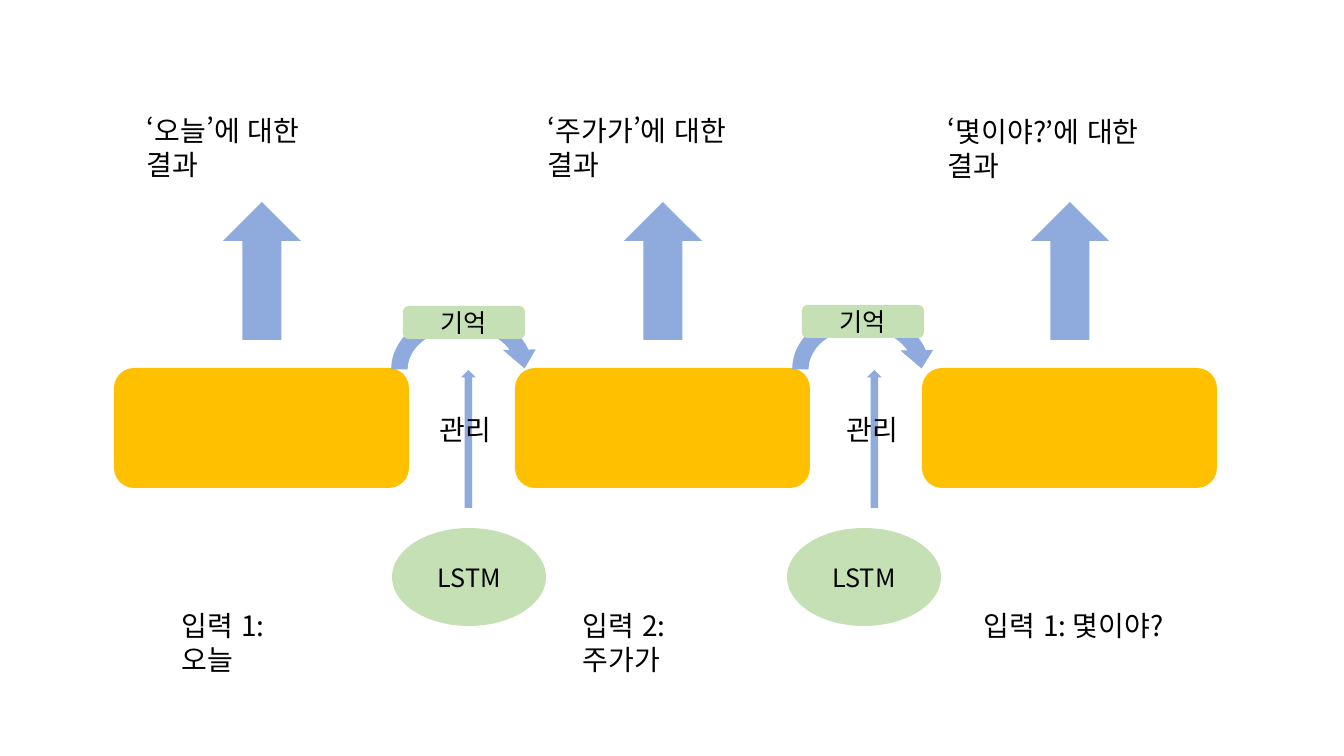
import dataclasses
import typing

import pptx
import pptx.dml.color
import pptx.enum.lang
import pptx.enum.shapes
import pptx.enum.text
import pptx.oxml
import pptx.oxml.ns
import pptx.util

EMU_PER_PIXEL = 914400 / 100.8
SHAPES = pptx.enum.shapes.MSO_SHAPE
ALIGN = pptx.enum.text.PP_ALIGN
DRAWING_NS = pptx.oxml.ns.nsdecls("a")


@dataclasses.dataclass(frozen=True)
class Theme:
    font: str = "Noto Sans CJK KR"
    ink: str = "000000"
    block: str = "FFC000"
    arrow: str = "8FAADC"
    memory: str = "C5E0B4"
    caption_size: int = 20
    label_size: int = 18


class Box(typing.NamedTuple):
    left: int
    top: int
    width: int
    height: int


class Stage(typing.NamedTuple):
    left: int
    result: str
    result_box: Box
    entry: str
    entry_box: Box


class Memory(typing.NamedTuple):
    loop: Box
    label: Box


class Manager(typing.NamedTuple):
    cell: Box
    arrow: Box
    caption: Box


THEME = Theme()

STAGES = [
    Stage(114, "‘오늘’에 대한 결과", Box(137, 109, 220, 44),
          "입력 1: 오늘", Box(172, 604, 148, 44)),
    Stage(515, "‘주가가’에 대한 결과", Box(538, 109, 246, 44),
          "입력 2: 주가가", Box(573, 604, 176, 44)),
    Stage(922, "‘몇이야?’에 대한 결과", Box(938, 110, 265, 44),
          "입력 1: 몇이야?", Box(974, 604, 194, 44)),
]
MEMORIES = [
    Memory(Box(383, 304, 158, 131), Box(403, 306, 122, 33)),
    Memory(Box(784, 304, 154, 131), Box(802, 305, 122, 33)),
]
MANAGERS = [
    Manager(Box(392, 528, 154, 98), Box(461, 370, 15, 138), Box(430, 408, 73, 44)),
    Manager(Box(787, 528, 154, 98), Box(867, 370, 15, 138), Box(837, 408, 73, 44)),
]
LOOP_ADJUSTMENTS = [0.125, 10.86, 204.58, 108, 0.125]


def emu(box: Box) -> list[int]:
    return [round(pixels * EMU_PER_PIXEL) for pixels in box]


def write(frame, text: str, size: int, align) -> None:
    frame.text = text
    paragraph = frame.paragraphs[0]
    paragraph.alignment = align
    font = paragraph.runs[0].font
    font.size = pptx.util.Pt(size)
    font.name = THEME.font
    font.color.rgb = pptx.dml.color.RGBColor.from_string(THEME.ink)
    font.language_id = pptx.enum.lang.MSO_LANGUAGE_ID.KOREAN
    # Korean glyphs take the East Asian typeface
    paragraph.runs[0].font._element.append(
        pptx.oxml.parse_xml(f'<a:ea {DRAWING_NS} typeface="{THEME.font}"/>'))


def add_caption(slide, box: Box, text: str) -> None:
    frame = slide.shapes.add_textbox(*emu(box)).text_frame
    frame.word_wrap = True
    write(frame, text, THEME.caption_size, ALIGN.LEFT)


def add_part(slide, kind, box: Box, color: str, label: str = ""):
    part = slide.shapes.add_shape(kind, *emu(box))
    part.shadow.inherit = False
    part.fill.solid()
    part.fill.fore_color.rgb = pptx.dml.color.RGBColor.from_string(color)
    part.line.fill.background()
    if label:
        part.text_frame.vertical_anchor = pptx.enum.text.MSO_ANCHOR.MIDDLE
        write(part.text_frame, label, THEME.label_size, ALIGN.CENTER)
    return part


def add_stage(slide, stage: Stage) -> None:
    add_caption(slide, stage.entry_box, stage.entry)
    add_part(slide, SHAPES.ROUNDED_RECTANGLE, Box(stage.left, 368, 295, 120), THEME.block)
    add_part(slide, SHAPES.UP_ARROW, Box(stage.left + 109, 202, 78, 138), THEME.arrow)
    add_caption(slide, stage.result_box, stage.result)


def add_memory(slide, memory: Memory) -> None:
    loop = add_part(slide, SHAPES.CIRCULAR_ARROW, memory.loop, THEME.arrow)
    for index, value in enumerate(LOOP_ADJUSTMENTS):
        loop.adjustments[index] = value
    add_part(slide, SHAPES.ROUNDED_RECTANGLE, memory.label, THEME.memory, "기억")


def add_manager(slide, manager: Manager) -> None:
    add_part(slide, SHAPES.OVAL, manager.cell, THEME.memory, "LSTM")
    add_part(slide, SHAPES.UP_ARROW, manager.arrow, THEME.arrow)
    add_caption(slide, manager.caption, "관리")


presentation = pptx.Presentation()
presentation.slide_width = round(1344 * EMU_PER_PIXEL)
presentation.slide_height = round(756 * EMU_PER_PIXEL)
slide = presentation.slides.add_slide(presentation.slide_layouts[6])

# Input, block and result of each step
for stage in STAGES:
    add_stage(slide, stage)

# Memory passed between steps
for memory in MEMORIES:
    add_memory(slide, memory)

# LSTM cells managing the memory
for manager in MANAGERS:
    add_manager(slide, manager)

presentation.save("out.pptx")
